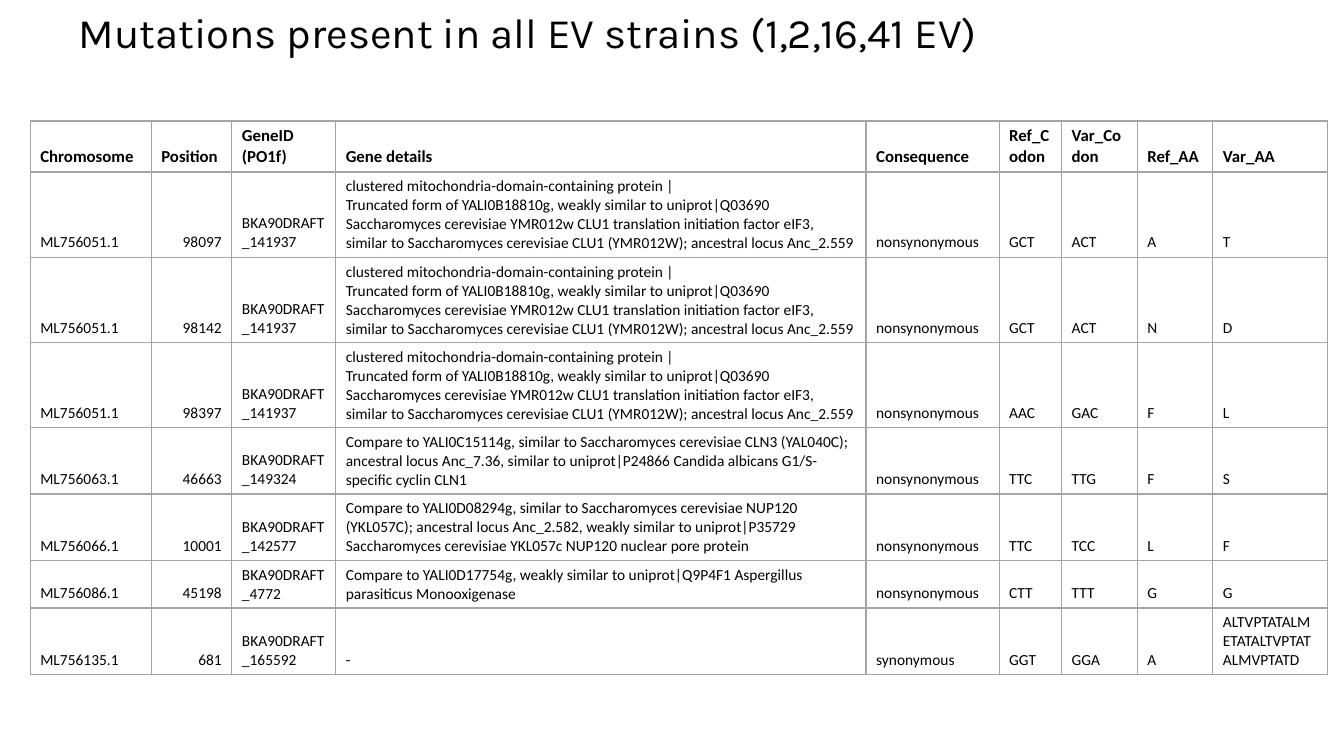
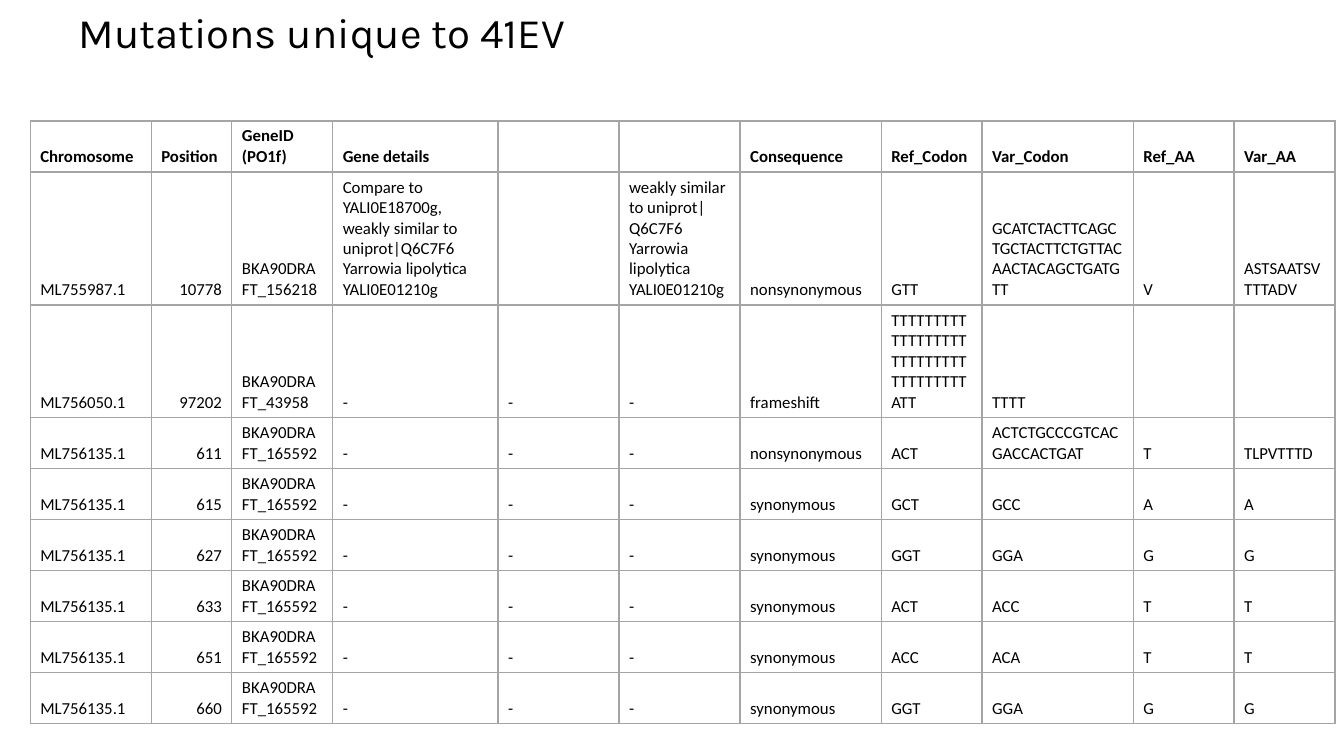
from lxml import etree
from pptx import Presentation
from pptx.dml.color import RGBColor
from pptx.enum.text import MSO_ANCHOR as Anchor, PP_ALIGN as Align
from pptx.oxml.ns import qn
from pptx.util import Inches, Pt

COLORS = {"text": "000000", "grid": "A5A5A5"}
TITLE_FONT, BODY_FONT = "Karla", "Calibri"
TABLE_LEFT, TABLE_TOP = 0.3, 1.2
HEADER_SIZE, HEADER_LINES = 12, 2
LINE_SPACING, CELL_PADDING = 1.22, 0.1

START = ("Chromosome", "Position", "GeneID (PO1f)", "Gene details")
END = ("Consequence", "Ref_Codon", "Var_Codon", "Ref_AA", "Var_AA")

CLU1 = (
    "clustered mitochondria-domain-containing protein |\n"
    "Truncated form of YALI0B18810g, weakly similar to uniprot|Q03690 "
    "Saccharomyces cerevisiae YMR012w CLU1 translation initiation factor eIF3, "
    "similar to Saccharomyces cerevisiae CLU1 (YMR012W); ancestral locus Anc_2.559"
)
CLN3 = (
    "Compare to YALI0C15114g, similar to Saccharomyces cerevisiae CLN3 (YAL040C); "
    "ancestral locus Anc_7.36, similar to uniprot|P24866 Candida albicans G1/S- "
    "specific cyclin CLN1"
)
NUP120 = (
    "Compare to YALI0D08294g, similar to Saccharomyces cerevisiae NUP120 (YKL057C); "
    "ancestral locus Anc_2.582, weakly similar to uniprot|P35729 "
    "Saccharomyces cerevisiae YKL057c NUP120 nuclear pore protein"
)
MONOOXIGENASE = (
    "Compare to YALI0D17754g, weakly similar to uniprot|Q9P4F1 "
    "Aspergillus parasiticus Monooxigenase"
)
SIMILAR = "weakly similar to uniprot|Q6C7F6 Yarrowia lipolytica YALI0E01210g"
NON, SYN = "nonsynonymous", "synonymous"
GENE_165592 = "BKA90DRAFT_165592"

SHARED_WIDTHS = (1.2, 0.8, 1.03, 5.26, 1.32, 0.62, 0.75, 0.75, 1.14)
SHARED_LINES = (4, 4, 4, 3, 3, 2, 3)
SHARED_ROWS = [
    ("ML756051.1", "98097", "BKA90DRAFT_141937", CLU1, NON, "GCT", "ACT", "A", "T"),
    ("ML756051.1", "98142", "BKA90DRAFT_141937", CLU1, NON, "GCT", "ACT", "N", "D"),
    ("ML756051.1", "98397", "BKA90DRAFT_141937", CLU1, NON, "AAC", "GAC", "F", "L"),
    ("ML756063.1", "46663", "BKA90DRAFT_149324", CLN3, NON, "TTC", "TTG", "F", "S"),
    ("ML756066.1", "10001", "BKA90DRAFT_142577", NUP120, NON, "TTC", "TCC", "L", "F"),
    ("ML756086.1", "45198", "BKA90DRAFT_4772", MONOOXIGENASE, NON,
     "CTT", "TTT", "G", "G"),
    ("ML756135.1", "681", GENE_165592, "-", SYN, "GGT", "GGA", "A",
     "ALTVPTATALMETATALTVPTATALMVPTATD"),
]

UNIQUE_WIDTHS = (1.2, 0.8, 1, 1.64, 1.2, 1.2, 1.4, 1, 1.5, 1, 1)
UNIQUE_LINES = (6, 5, 2, 2, 2, 2, 2, 2)
NO_DETAILS = ("-", "-", "-")
SILENT = [("615", "GCT", "GCC", "A"), ("627", "GGT", "GGA", "G"),
          ("633", "ACT", "ACC", "T"), ("651", "ACC", "ACA", "T"),
          ("660", "GGT", "GGA", "G")]
UNIQUE_ROWS = [
    ("ML755987.1", "10778", "BKA90DRAFT_156218",
     "Compare to YALI0E18700g, " + SIMILAR, "", SIMILAR, NON, "GTT",
     "GCATCTACTTCAGCTGCTACTTCTGTTACAACTACAGCTGATGTT", "V", "ASTSAATSVTTTADV"),
    ("ML756050.1", "97202", "BKA90DRAFT_43958", *NO_DETAILS, "frameshift",
     "T" * 36 + "ATT", "TTTT", "", ""),
    ("ML756135.1", "611", GENE_165592, *NO_DETAILS, NON, "ACT",
     "ACTCTGCCCGTCACGACCACTGAT", "T", "TLPVTTTD"),
] + [
    ("ML756135.1", position, GENE_165592, *NO_DETAILS, SYN, ref, var, acid, acid)
    for position, ref, var, acid in SILENT
]


def write(tf, text, *, size, font=BODY_FONT, bold=False, align=Align.LEFT, spacing=None):
    """Fill a text frame, one paragraph per line of text."""
    tf.word_wrap = True
    for i, line in enumerate(text.split("\n")):
        p = tf.paragraphs[0] if i == 0 else tf.add_paragraph()
        p.alignment = align
        p.line_spacing = spacing
        if line:
            r = p.add_run()
            r.text = line
            r.font.name, r.font.size, r.font.bold = font, Pt(size), bold
            r.font.color.rgb = RGBColor.from_string(COLORS["text"])


def set_borders(cell, top, bottom):
    """Draw the four cell edges; top and bottom are widths in points."""
    tc_pr = cell._tc.get_or_add_tcPr()
    edges = (("lnL", 1), ("lnR", 1), ("lnT", top), ("lnB", bottom))
    for i, (tag, width) in enumerate(edges):
        ln = etree.Element(qn(f"a:{tag}"), w=str(Pt(width)))
        fill = etree.SubElement(ln, qn("a:solidFill"))
        etree.SubElement(fill, qn("a:srgbClr"), val=COLORS["grid"])
        tc_pr.insert(i, ln)


def add_title(s, text):
    box = s.shapes.add_textbox(Inches(0.68), Inches(0.07), Inches(11.74), Inches(1.03))
    write(box.text_frame, text, size=30, font=TITLE_FONT, spacing=0.9)


def row_height(lines, size):
    return lines * size * LINE_SPACING / 72 + CELL_PADDING


def add_mutation_table(s, header, rows, widths, lines, size):
    heights = [row_height(HEADER_LINES, HEADER_SIZE)]
    heights += [row_height(n, size) for n in lines]
    table = s.shapes.add_table(
        len(heights), len(widths), Inches(TABLE_LEFT), Inches(TABLE_TOP),
        Inches(sum(widths)), Inches(sum(heights))).table
    table.first_row = table.horz_banding = False
    for column, width in zip(table.columns, widths):
        column.width = Inches(width)
    for i, values in enumerate([header, *rows]):
        table.rows[i].height = Inches(heights[i])
        is_header = i == 0
        for j, value in enumerate(values):
            cell = table.cell(i, j)
            cell.fill.background()
            cell.vertical_anchor = Anchor.BOTTOM
            set_borders(cell, top=2 if i == 1 else 1, bottom=2 if is_header else 1)
            is_number = j == 1 and not is_header
            write(cell.text_frame, value, size=HEADER_SIZE if is_header else size,
                  bold=is_header, align=Align.RIGHT if is_number else Align.LEFT)


def main():
    prs = Presentation()
    prs.slide_width, prs.slide_height = Inches(13.33), Inches(7.5)
    slides = [
        ("Mutations present in all EV strains (1,2,16,41 EV)",
         START + END, SHARED_ROWS, SHARED_WIDTHS, SHARED_LINES, 11),
        ("Mutations unique to 41EV",
         START + ("", "") + END, UNIQUE_ROWS, UNIQUE_WIDTHS, UNIQUE_LINES, 12),
    ]
    for title, *table in slides:
        s = prs.slides.add_slide(prs.slide_layouts[6])
        add_title(s, title)
        add_mutation_table(s, *table)
    prs.save("out.pptx")


if __name__ == "__main__":
    main()
